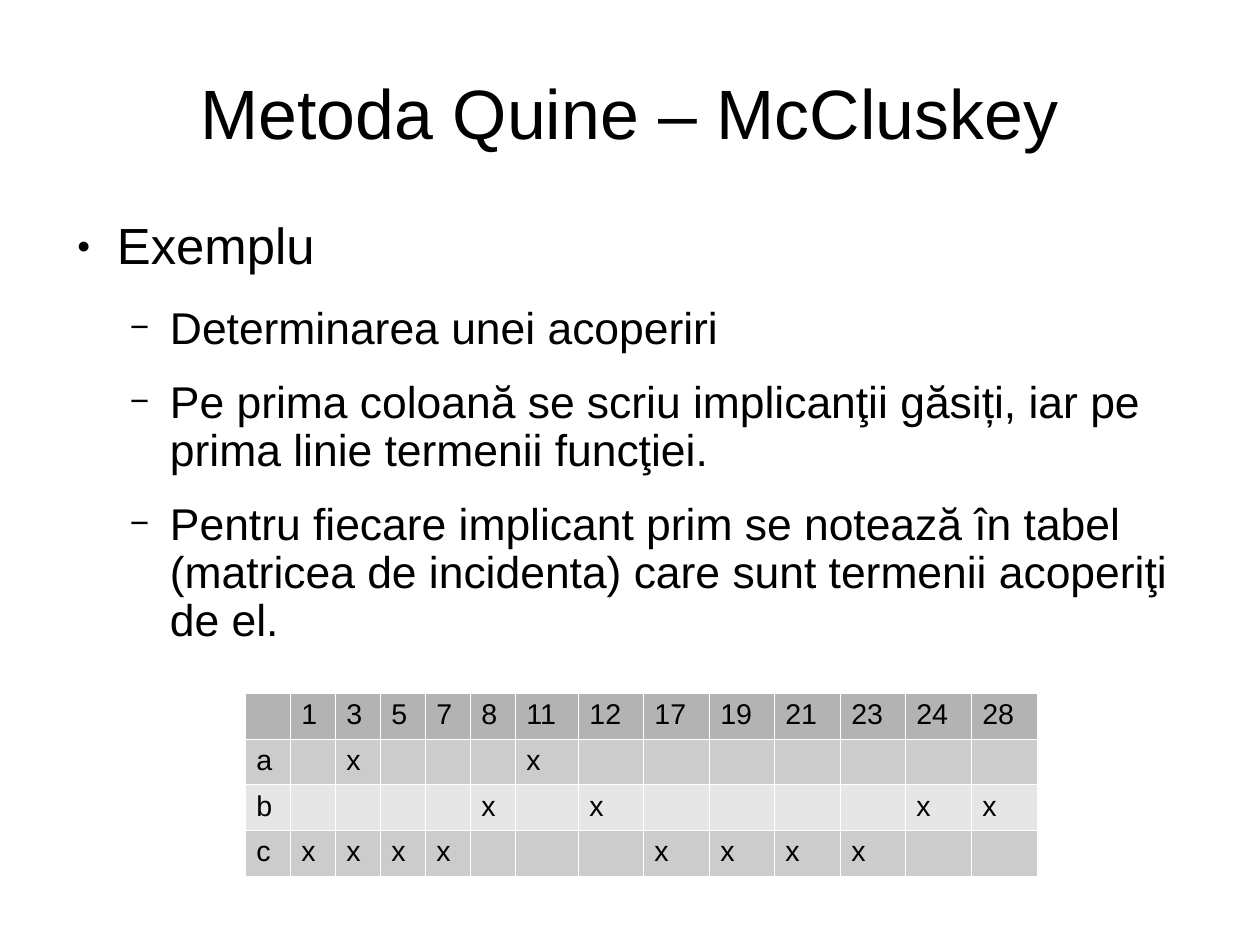
from lxml.etree import SubElement
from pptx import Presentation
from pptx.dml.color import RGBColor
from pptx.enum.text import MSO_ANCHOR, PP_ALIGN
from pptx.oxml.ns import qn
from pptx.util import Pt

PIXEL = 8000
FONT = "Arial"
BLACK, WHITE = "000000", "FFFFFF"
HEADER_FILL = "B3B3B3"
BAND_FILLS = ["CCCCCC", "E6E6E6"]

LEVELS = [
    dict(size=32, margin=54, before=10, after=14.1, bullet="●", percent=45),
    dict(size=28, margin=107, before=5, after=11.3, bullet="−", percent=75),
]
HANGING = 40
POINTS = [
    (0, "Exemplu"),
    (1, "Determinarea unei acoperiri"),
    (1, "Pe prima coloană se scriu implicanţii găsiți, iar pe prima linie termenii funcţiei."),
    (1, "Pentru fiecare implicant prim se notează în tabel (matricea de incidenta) "
        "care sunt termenii acoperiţi de el."),
]

TERMS = [1, 3, 5, 7, 8, 11, 12, 17, 19, 21, 23, 24, 28]
COVERAGE = {"a": {3, 11}, "b": {8, 12, 24, 28}, "c": {1, 3, 5, 7, 17, 19, 21, 23}}
COLUMN_WIDTHS = [45] * 6 + [63] + [65, 66] * 3 + [66]
ROW_HEIGHT = 44


def px(length):
    """Turn pixels into EMU."""
    return length * PIXEL


def color(value):
    """Turn a hex string into a colour."""
    return RGBColor.from_string(value)


def add_span(para, text, size):
    """Add one black run to a paragraph."""
    span = para.add_run()
    span.text = text
    span.font.name = FONT
    span.font.size = Pt(size)
    span.font.color.rgb = color(BLACK)


def add_frame(page, box, anchor):
    """Add a wrapping text box without insets and return its frame."""
    frame = page.shapes.add_textbox(*map(px, box)).text_frame
    frame.word_wrap = True
    frame.vertical_anchor = anchor
    frame.margin_left = frame.margin_right = frame.margin_top = frame.margin_bottom = 0
    return frame


def add_bullet(para, level):
    """Give a paragraph the hanging bullet of its level."""
    properties = para._p.get_or_add_pPr()
    properties.set("marL", str(px(level["margin"])))
    properties.set("indent", str(-px(HANGING)))
    tint = SubElement(properties, qn("a:buClr"))
    SubElement(tint, qn("a:srgbClr"), val=BLACK)
    SubElement(properties, qn("a:buSzPct"), val=str(level["percent"] * 1000))
    SubElement(properties, qn("a:buFont"), typeface=FONT)
    SubElement(properties, qn("a:buChar"), char=level["bullet"])


def add_title(page, box):
    """Place the centred title in its box."""
    para = add_frame(page, box, MSO_ANCHOR.MIDDLE).paragraphs[0]
    para.alignment = PP_ALIGN.CENTER
    para.line_spacing = 0.9
    add_span(para, "Metoda Quine – McCluskey", 44)


def add_points(page, box):
    """Place the bulleted explanation in its box."""
    frame = add_frame(page, box, MSO_ANCHOR.TOP)
    for index, (depth, text) in enumerate(POINTS):
        para = frame.add_paragraph() if index else frame.paragraphs[0]
        level = LEVELS[depth]
        para.level = depth
        para.line_spacing = 0.9
        para.space_before = Pt(level["before"])
        para.space_after = Pt(level["after"])
        add_bullet(para, level)
        add_span(para, text, level["size"])


def style_cell(cell, fill):
    """Give a cell thin white borders and a plain fill."""
    properties = cell._tc.get_or_add_tcPr()
    for side in ("lnL", "lnR", "lnT", "lnB"):
        border = SubElement(properties, qn(f"a:{side}"), w=str(Pt(0.06)))
        paint = SubElement(border, qn("a:solidFill"))
        SubElement(paint, qn("a:srgbClr"), val=WHITE)
    cell.fill.solid()
    cell.fill.fore_color.rgb = color(fill)


def add_incidence_table(page, box):
    """Place the incidence matrix of implicants and terms in its box."""
    rows = [[""] + [str(term) for term in TERMS]]
    for implicant, covered in COVERAGE.items():
        rows.append([implicant] + ["x" if term in covered else "" for term in TERMS])
    table = page.shapes.add_table(len(rows), len(rows[0]), *map(px, box)).table
    table.first_row = table.horz_banding = False
    for column, width in zip(table.columns, COLUMN_WIDTHS):
        column.width = px(width)
    for index, texts in enumerate(rows):
        table.rows[index].height = px(ROW_HEIGHT)
        fill = BAND_FILLS[(index - 1) % 2] if index else HEADER_FILL
        for cell, text in zip(table.rows[index].cells, texts):
            style_cell(cell, fill)
            if text:
                add_span(cell.text_frame.paragraphs[0], text, 18)


def build():
    """Build the slide and save the deck."""
    deck = Presentation()
    deck.slide_width, deck.slide_height = px(1260), px(945)
    page = deck.slides.add_slide(deck.slide_layouts[6])
    add_title(page, (63, 38, 1134, 158))
    add_points(page, (63, 221, 1134, 708))
    add_incidence_table(page, (245, 693, sum(COLUMN_WIDTHS), ROW_HEIGHT * (len(COVERAGE) + 1)))
    deck.save("out.pptx")


build()
